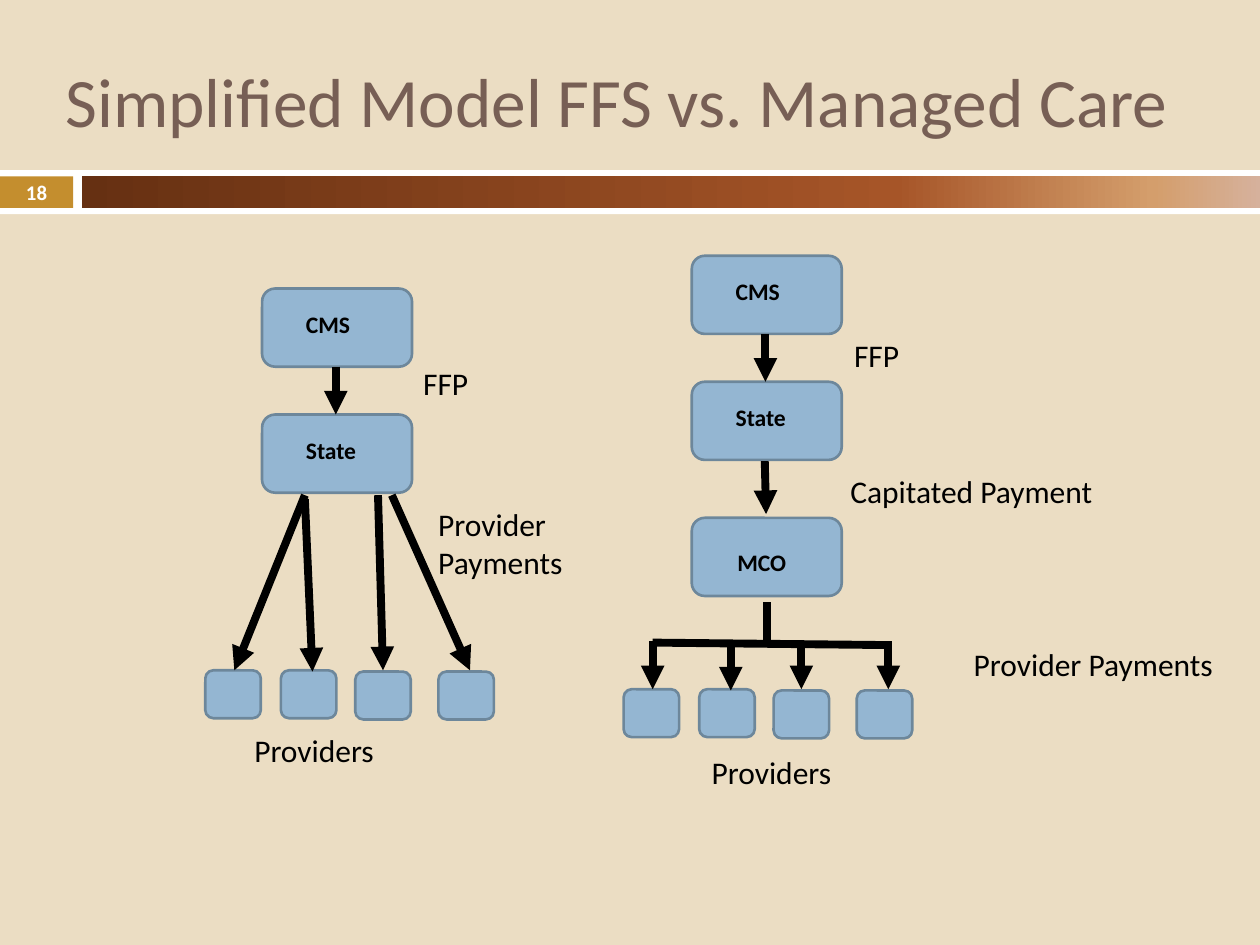
from dataclasses import dataclass

from lxml.etree import SubElement
from pptx import Presentation
from pptx.dml.color import RGBColor
from pptx.enum.shapes import MSO_CONNECTOR, MSO_SHAPE
from pptx.enum.text import MSO_ANCHOR, PP_ALIGN
from pptx.oxml.ns import qn
from pptx.util import Inches, Pt


@dataclass(frozen=True)
class Theme:
    font: str = "Calibri"
    background: str = "EBDDC3"
    white: str = "FFFFFF"
    ink: str = "000000"
    title: str = "775F55"
    gold: str = "C48E2E"
    box: str = "94B6D2"
    box_edge: str = "6D879B"
    band: tuple = ((0, "663012"), (69, "A65528"), (91, "D49E6C"), (100, "D6B19C"))
    title_size: float = 39.6
    label_size: float = 18
    box_size: float = 13.5
    number_size: float = 11.9
    edge_width: float = 1.5
    arrow_width: float = 4.5


class FlowSlide:
    """Holds the theme and the current slide, and draws each kind of element."""

    def __init__(self, slide, theme):
        self.slide = slide
        self.theme = theme
        fill = slide.background.fill
        fill.solid()
        fill.fore_color.rgb = RGBColor.from_string(theme.background)

    def bar(self, left, top, width, height, color):
        return self._shape(MSO_SHAPE.RECTANGLE, left, top, width, height, color)

    def gradient_bar(self, left, top, width, height, stops):
        bar = self.bar(left, top, width, height, stops[0][1])
        bar.fill.gradient()
        bar.fill.gradient_angle = 0
        stop_list = bar.element.spPr.find(".//" + qn("a:gsLst"))
        for default_stop in list(stop_list):
            stop_list.remove(default_stop)
        for percent, color in stops:
            stop = SubElement(stop_list, qn("a:gs"), pos=str(percent * 1000))
            SubElement(stop, qn("a:srgbClr"), val=color)

    def box(self, left, top, width=1.19, height=0.62):
        box = self._shape(MSO_SHAPE.ROUNDED_RECTANGLE, left, top, width, height,
                          self.theme.box)
        box.line.color.rgb = RGBColor.from_string(self.theme.box_edge)
        box.line.width = Pt(self.theme.edge_width)

    def providers(self, left, top):
        for offset, drop in ((0, 0), (0.6, 0), (1.19, 0.01), (1.85, 0.01)):
            self.box(left + offset, top + drop, 0.44, 0.38)

    def text(self, words, left, top, width, height=0.4, size=None, color=None,
             bold=False, align=PP_ALIGN.LEFT, anchor=MSO_ANCHOR.TOP):
        frame = self.slide.shapes.add_textbox(
            Inches(left), Inches(top), Inches(width), Inches(height)).text_frame
        frame.word_wrap = True
        frame.vertical_anchor = anchor
        paragraph = frame.paragraphs[0]
        paragraph.alignment = align
        run = paragraph.add_run()
        run.text = words
        run.font.name = self.theme.font
        run.font.size = Pt(size or self.theme.label_size)
        run.font.bold = bold
        run.font.color.rgb = RGBColor.from_string(color or self.theme.ink)

    def box_name(self, words, left, top, width=0.69, align=PP_ALIGN.LEFT):
        self.text(words, left, top, width, 0.33, self.theme.box_size,
                  bold=True, align=align)

    def line(self, start, end, arrow=True):
        line = self.slide.shapes.add_connector(
            MSO_CONNECTOR.STRAIGHT, *(Inches(value) for value in (*start, *end)))
        line.line.color.rgb = RGBColor.from_string(self.theme.ink)
        line.line.width = Pt(self.theme.arrow_width)
        if arrow:
            SubElement(line.line._get_or_add_ln(), qn("a:tailEnd"), type="triangle")
        SubElement(line.element.spPr, qn("a:effectLst"))

    def _shape(self, kind, left, top, width, height, color):
        shape = self.slide.shapes.add_shape(
            kind, Inches(left), Inches(top), Inches(width), Inches(height))
        shape.shadow.inherit = False
        shape.fill.solid()
        shape.fill.fore_color.rgb = RGBColor.from_string(color)
        shape.line.fill.background()
        return shape


def main():
    deck = Presentation()
    deck.slide_width, deck.slide_height = Inches(10), Inches(7.5)
    theme = Theme()
    page = FlowSlide(deck.slides.add_slide(deck.slide_layouts[6]), theme)

    # Title, band and slide number
    page.bar(0, 1.35, 10, 0.35, theme.white)
    page.bar(0, 1.4, 0.58, 0.25, theme.gold)
    page.gradient_bar(0.65, 1.4, 9.35, 0.25, theme.band)
    page.text("Simplified Model FFS vs. Managed Care", 0.42, 0.25, 9.42, 1.08,
              theme.title_size, theme.title, anchor=MSO_ANCHOR.MIDDLE)
    page.text("18", 0, 1.39, 0.58, 0.27, theme.number_size, theme.white,
              bold=True, align=PP_ALIGN.CENTER, anchor=MSO_ANCHOR.MIDDLE)

    # CMS and State, the start of both models
    for left, top in ((2.08, 2.29), (5.49, 2.03)):
        for step, name in enumerate(("CMS", "State")):
            page.box(left, top + step)
            page.box_name(name, left + 0.25, top + step + 0.12)
        page.line((left + 0.585, top + 0.62), (left + 0.585, top + 1))

    # Fee for service: the State pays providers
    page.providers(1.63, 5.32)
    for start, end in (((3, 3.93), (3.04, 5.32)), ((2.42, 3.93), (1.86, 5.32)),
                       ((2.42, 3.96), (2.48, 5.33)), ((3.11, 3.93), (3.73, 5.32))):
        page.line(start, end)

    # Managed care: the MCO pays providers
    page.box(5.49, 4.11)
    page.box_name("MCO", 5.67, 4.3, 0.75, PP_ALIGN.CENTER)
    page.providers(4.95, 5.47)
    page.line((6.07, 3.66), (6.08, 4.08))
    page.line((6.09, 4.78), (6.09, 5.08), arrow=False)
    page.line((7.05, 5.12), (5.18, 5.1), arrow=False)
    for x, y in ((5.18, 5.09), (5.8, 5.1), (6.36, 5.09), (7.05, 5.09)):
        page.line((x, y), (x, y + 0.38))

    # Labels for payments and providers
    page.text("FFP", 3.26, 2.84, 1.33)
    page.text("Provider Payments", 3.38, 3.96, 1.33, 0.71)
    page.text("Providers", 1.92, 5.75, 2.43)
    page.text("FFP", 6.68, 2.62, 1.33)
    page.text("Capitated Payment", 6.65, 3.7, 2.2)
    page.text("Provider Payments", 7.63, 5.07, 2.2)
    page.text("Providers", 5.55, 5.93, 2.43)

    deck.save("out.pptx")


if __name__ == "__main__":
    main()
